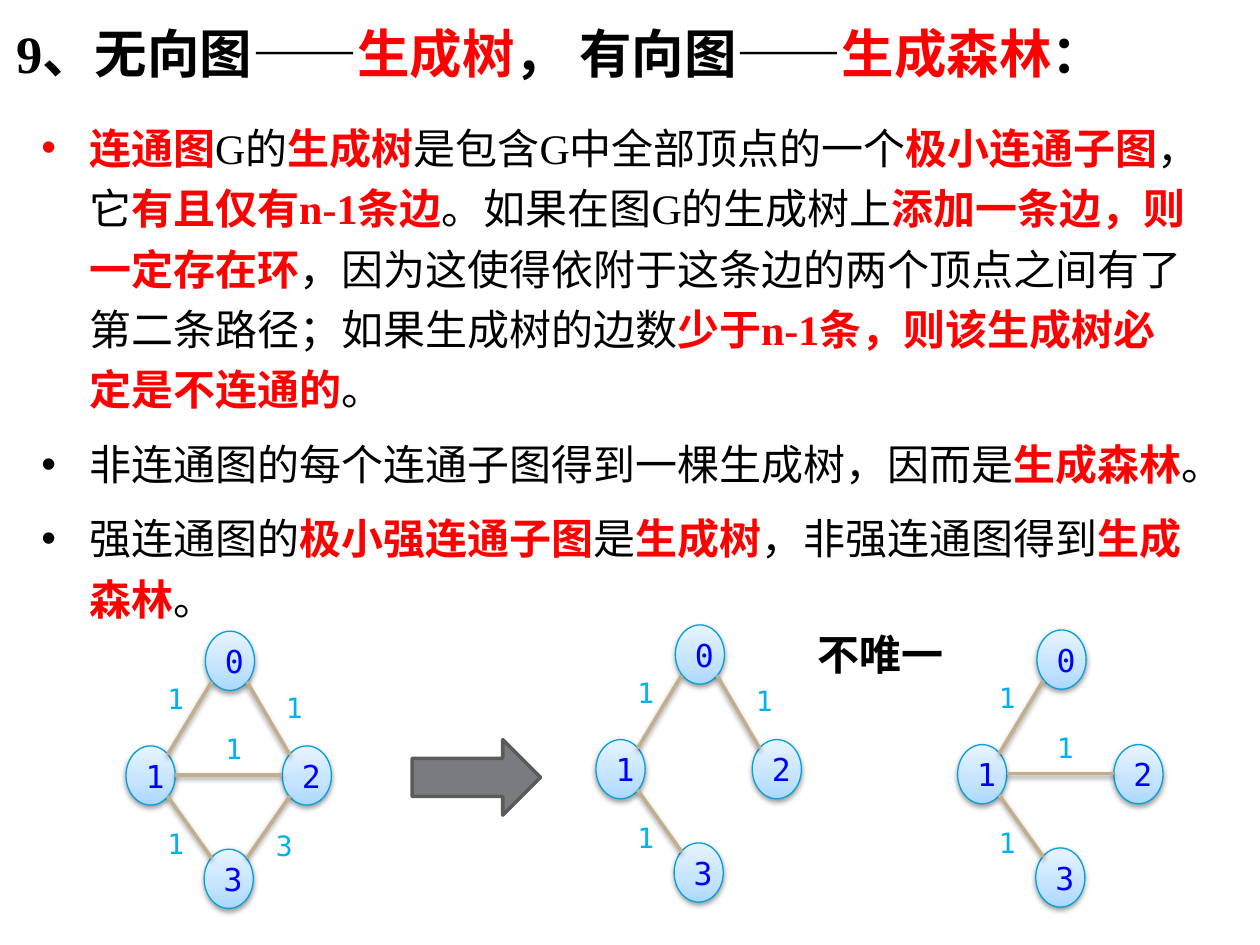
from lxml import etree
from pptx import Presentation
from pptx import util as u
from pptx.dml.color import RGBColor
from pptx.enum import shapes, text
from pptx.oxml import parse_xml
from pptx.oxml.ns import qn

BLACK = RGBColor(0, 0, 0)
RED = RGBColor(0xFF, 0, 0)
BLUE = RGBColor(0, 0, 0xFF)
SKY = RGBColor(0, 0xB0, 0xF0)
NODE_LINE = RGBColor(0x03, 0xA0, 0xD9)
EDGE = RGBColor(0xC2, 0xAD, 0x8D)
ARROW_FILL = RGBColor(0x79, 0x7B, 0x7E)
ARROW_LINE = RGBColor(0x5A, 0x5B, 0x5D)
SERIF = "Times New Roman"
MONO = "DejaVu Sans Mono"
INDENT = u.Inches(0.38)
DRAWING = 'xmlns:a="http://schemas.openxmlformats.org/drawingml/2006/main"'

GRADIENT = f"""<a:gradFill {DRAWING} rotWithShape="1"><a:gsLst>
<a:gs pos="0"><a:srgbClr val="ABD8FF"/></a:gs>
<a:gs pos="35000"><a:srgbClr val="C3E3FF"/></a:gs>
<a:gs pos="100000"><a:srgbClr val="E8F4FF"/></a:gs>
</a:gsLst><a:lin ang="16200000" scaled="0"/></a:gradFill>"""
SHADOW = f"""<a:effectLst {DRAWING}>
<a:outerShdw blurRad="39370" dist="20320" dir="5400000" rotWithShape="0">
<a:srgbClr val="000000"><a:alpha val="38000"/></a:srgbClr>
</a:outerShdw></a:effectLst>"""

TITLE = ["9、无向图——", "生成树", "， 有向图——", "生成森林", "："]
BULLETS = [
    ["", "连通图", "G的", "生成树", "是包含G中全部顶点的一个", "极小连通子图", "，它",
     "有且仅有n-1条边", "。如果在图G的生成树上", "添加一条边，则一定存在环",
     "，因为这使得依附于这条边的两个顶点之间有了第二条路径；如果生成树的边数",
     "少于n-1条，则该生成树必定是不连通的", "。"],
    ["非连通图的每个连通子图得到一棵生成树，因而是", "生成森林", "。"],
    ["强连通图的", "极小强连通子图", "是", "生成树", "，非强连通图得到", "生成森林", "。"],
]

NODES = {"0": (0.63, 0), "2": (1.24, 0.91), "1": (0, 0.91), "3": (0.62, 1.73)}
EDGES = {
    "02": ((0.96, 0.4), (1.3, 0.98), (1.17, 0.42), "1"),
    "13": ((0.33, 1.31), (0.68, 1.8), (0.23, 1.5), "1"),
    "12": ((0.39, 1.14), (1.24, 1.14), (0.69, 0.75), "1"),
    "01": ((0.68, 0.4), (0.33, 0.98), (0.23, 0.35), "1"),
    "23": ((1.3, 1.31), (0.96, 1.8), (1.09, 1.52), "3"),
}
GRAPHS = [
    ((1, 5.01), ["02", "13", "12", "01", "23"]),
    ((4.73, 4.96), ["02", "13", "01"]),
    ((7.6, 5), ["13", "12", "01"]),
]


def style(span, font, size, color, bold=False):
    span.font.name = font
    span.font.size = u.Pt(size)
    span.font.color.rgb = color
    span.font.bold = bold


def add_box(parent, left, top, width, height, wrap=True):
    box = parent.shapes.add_textbox(*map(u.Inches, (left, top, width, height)))
    box.text_frame.word_wrap = wrap
    return box


def write_paragraph(para, segments, size, all_bold=False):
    para.line_spacing = 1.2
    para.space_before = u.Pt(8)
    for number, segment in enumerate(segments):
        if segment:
            span = para.add_run()
            span.text = segment
            key = number % 2 == 1
            style(span, SERIF, size, RED if key else BLACK, key or all_bold)


def set_indent(para, bullet=None):
    properties = para._p.get_or_add_pPr()
    properties.set("marL", str(INDENT))
    properties.set("indent", str(-INDENT))
    if bullet:
        etree.SubElement(properties, qn("a:buFont")).set("typeface", "Arial")
        etree.SubElement(properties, qn("a:buChar")).set("char", bullet)


def add_bullets(page):
    frame = add_box(page, 0.23, 0.84, 9.36, 4.36).text_frame
    for number, segments in enumerate(BULLETS):
        para = frame.add_paragraph() if number else frame.paragraphs[0]
        write_paragraph(para, segments, 24)
        set_indent(para, "•")


def add_heading(page):
    para = add_box(page, 0.03, 0.02, 9.15, 0.71).text_frame.paragraphs[0]
    write_paragraph(para, TITLE, 30, all_bold=True)
    set_indent(para)


def add_node(group, left, top, name):
    node = group.shapes.add_shape(
        shapes.MSO_SHAPE.OVAL, *map(u.Inches, (left, top, 0.39, 0.47)))
    properties = node._element.spPr
    properties.find(qn("a:prstGeom")).addnext(parse_xml(GRADIENT))
    node.line.color.rgb = NODE_LINE
    node.line.width = u.Pt(0.75)
    properties.append(parse_xml(SHADOW))
    frame = node.text_frame
    frame.text = name
    frame.word_wrap = False
    frame.vertical_anchor = text.MSO_ANCHOR.MIDDLE
    frame.paragraphs[0].alignment = text.PP_ALIGN.LEFT
    style(frame.paragraphs[0].runs[0], MONO, 18, BLUE)


def add_edge(group, start, end):
    edge = group.shapes.add_connector(
        shapes.MSO_CONNECTOR.STRAIGHT, *map(u.Inches, (*start, *end)))
    edge.line.color.rgb = EDGE
    edge.line.width = u.Pt(2)
    edge._element.spPr.append(parse_xml(SHADOW))


def add_weight(group, left, top, weight):
    frame = add_box(group, left, top, 0.31, 0.37).text_frame
    frame.text = weight
    style(frame.paragraphs[0].runs[0], MONO, 16, SKY)


def add_graph(page, origin, edges):
    def place(point):
        return origin[0] + point[0], origin[1] + point[1]

    group = page.shapes.add_group_shape()
    for name, corner in NODES.items():
        add_node(group, *place(corner), name)
    for edge in edges:
        start, end, corner, weight = EDGES[edge]
        add_edge(group, place(start), place(end))
        add_weight(group, *place(corner), weight)


def add_arrow(page):
    arrow = page.shapes.add_shape(
        shapes.MSO_SHAPE.RIGHT_ARROW, *map(u.Inches, (3.27, 5.87, 1.02, 0.6)))
    arrow.fill.solid()
    arrow.fill.fore_color.rgb = ARROW_FILL
    arrow.line.color.rgb = ARROW_LINE
    arrow.line.width = u.Pt(2)
    arrow.shadow.inherit = False


def add_remark(page):
    box = add_box(page, 6.39, 4.86, 1.21, 0.54, wrap=False)
    write_paragraph(box.text_frame.paragraphs[0], ["不唯一"], 24, all_bold=True)


def main():
    deck = Presentation()
    deck.slide_width, deck.slide_height = u.Inches(10), u.Inches(7.5)
    page = deck.slides.add_slide(deck.slide_layouts[6])
    add_bullets(page)
    add_heading(page)
    for origin, edges in GRAPHS:
        add_graph(page, origin, edges)
    add_arrow(page)
    add_remark(page)
    deck.save("out.pptx")


if __name__ == "__main__":
    main()
